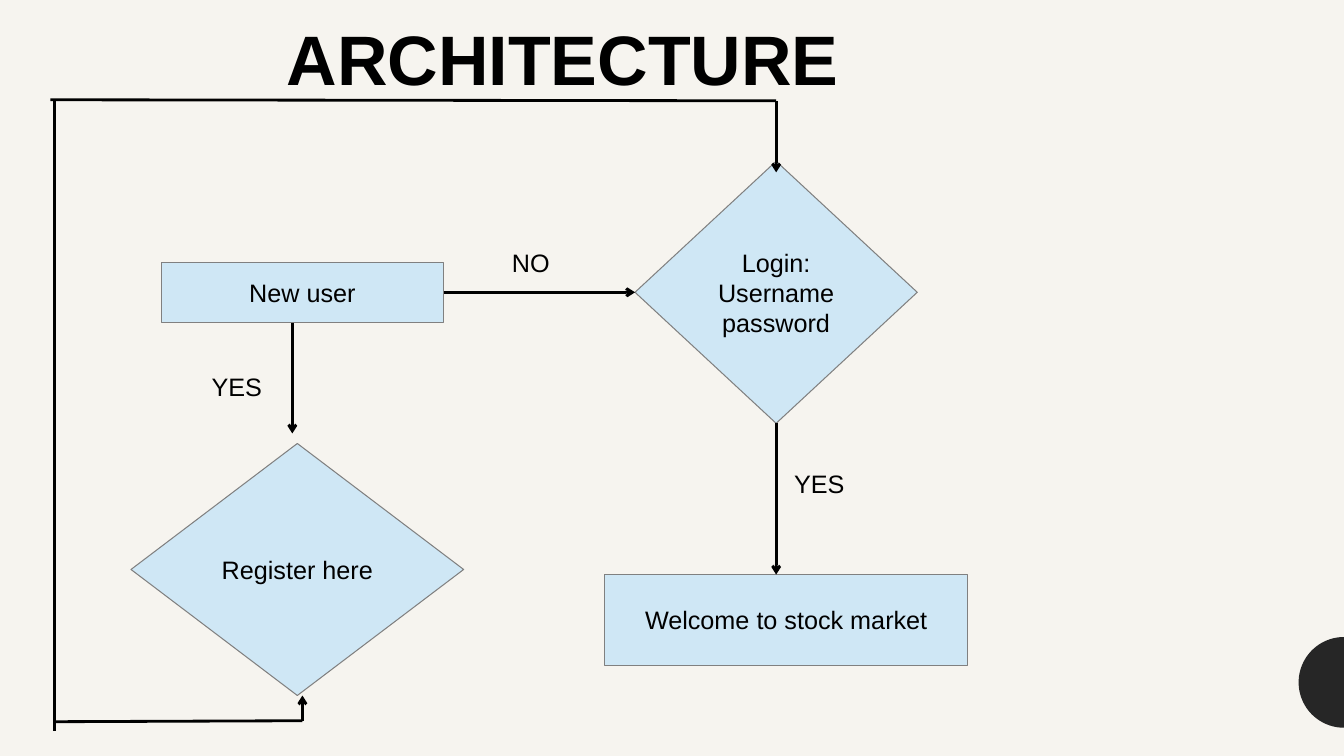
from math import cos, pi, sin

from lxml.etree import SubElement
from pptx import Presentation
from pptx.dml.color import RGBColor
from pptx.enum.shapes import MSO_CONNECTOR, MSO_SHAPE
from pptx.enum.text import MSO_ANCHOR, PP_ALIGN
from pptx.oxml.ns import qn
from pptx.util import Inches, Pt

COLUMNS, ROWS = 133.33, 75  # grid of 0.1 inch cells
TOP, LEFT, BOTTOM, RIGHT = range(4)
PAPER, BOX_FILL, BOX_EDGE = "F6F4EF", "CFE7F5", "808080"
INK, BADGE = "000000", "262626"


def cells(*counts):
    return [Inches(count / 10) for count in counts]


def paint(fill, color):
    fill.solid()
    fill.fore_color.rgb = RGBColor.from_string(color)


def write(frame, text, size=18, align=PP_ALIGN.LEFT, bold=False):
    frame.text = text
    for paragraph in frame.paragraphs:
        paragraph.alignment = align
        paragraph.font.name = "Arial"
        paragraph.font.size = Pt(size)
        paragraph.font.bold = bold
        paragraph.font.color.rgb = RGBColor.from_string(INK)


def add_step(slide, kind, text, column, row, width, height):
    step = slide.shapes.add_shape(kind, *cells(column, row, width, height))
    step.shadow.inherit = False
    paint(step.fill, BOX_FILL)
    paint(step.line.fill, BOX_EDGE)
    step.line.width = Pt(0)
    frame = step.text_frame
    frame.word_wrap = False
    frame.vertical_anchor = MSO_ANCHOR.MIDDLE
    write(frame, text, align=PP_ALIGN.CENTER)
    return step


def add_line(slide, start, end, arrow=False):
    line = slide.shapes.add_connector(MSO_CONNECTOR.STRAIGHT, *cells(*start, *end))
    paint(line.line.fill, INK)
    line.line.width = Pt(0)
    if arrow:
        SubElement(line.line._get_or_add_ln(), qn("a:tailEnd"), type="arrow")
    SubElement(line._element.spPr, qn("a:effectLst"))
    return line


def add_label(slide, text, column, row, width=12.2, height=4.7):
    label = slide.shapes.add_textbox(*cells(column, row, width, height))
    label.text_frame.word_wrap = True
    write(label.text_frame, text)


def add_title(slide, text):
    title = slide.shapes.add_textbox(*cells(27.2, 1, 57.3, 9.4))
    frame = title.text_frame
    frame.word_wrap = True
    frame.margin_left = frame.margin_right = 0
    write(frame, text, size=50, align=PP_ALIGN.CENTER, bold=True)


def add_edge_badge(slide, row, radius, steps=48):
    """Half disc on the right edge of the slide."""
    angles = [pi / 2 + pi * i / steps for i in range(steps + 1)]
    rim = [cells(COLUMNS + radius * cos(a), row - radius * sin(a)) for a in angles]
    outline = slide.shapes.build_freeform(*rim[0])
    outline.add_line_segments(rim[1:], close=True)
    badge = outline.convert_to_shape()
    badge.shadow.inherit = False
    paint(badge.fill, BADGE)
    badge.line.fill.background()


def main():
    deck = Presentation()
    deck.slide_width, deck.slide_height = cells(COLUMNS, ROWS)
    slide = deck.slides.add_slide(deck.slide_layouts[6])
    paint(slide.background.fill, PAPER)
    add_edge_badge(slide, row=67.7, radius=4.5)

    # Steps of the flow
    box, diamond = MSO_SHAPE.RECTANGLE, MSO_SHAPE.DIAMOND
    new_user = add_step(slide, box, "New user", 16, 26, 28, 6)
    login = add_step(slide, diamond, "Login:\nUsername\npassword", 63, 16, 28, 26)
    add_step(slide, diamond, "Register here", 13, 44, 33, 25)
    add_step(slide, box, "Welcome to stock market", 60, 57, 36, 9)

    # Decisions
    to_login = add_line(slide, (44, 29), (63, 29), arrow=True)
    to_login.begin_connect(new_user, RIGHT)
    to_login.end_connect(login, LEFT)
    add_line(slide, (29, 32), (29, 43), arrow=True)
    to_welcome = add_line(slide, (77, 42), (77, 57), arrow=True)
    to_welcome.begin_connect(login, BOTTOM)

    # Way back from registration to login
    add_line(slide, (30, 71.5), (30, 69), arrow=True)
    add_line(slide, (30, 71.5), (5.4, 71.6))
    add_line(slide, (5.4, 72.5), (5.4, 10))
    add_line(slide, (5, 9.9), (77, 10))
    add_line(slide, (77, 10), (77, 17.1), arrow=True)

    # Labels and title
    add_label(slide, "NO", 49.8, 24, height=3.8)
    add_label(slide, "YES", 20, 36.3)
    add_label(slide, "YES", 77.8, 46)
    add_title(slide, "ARCHITECTURE")

    deck.save("out.pptx")


if __name__ == "__main__":
    main()
